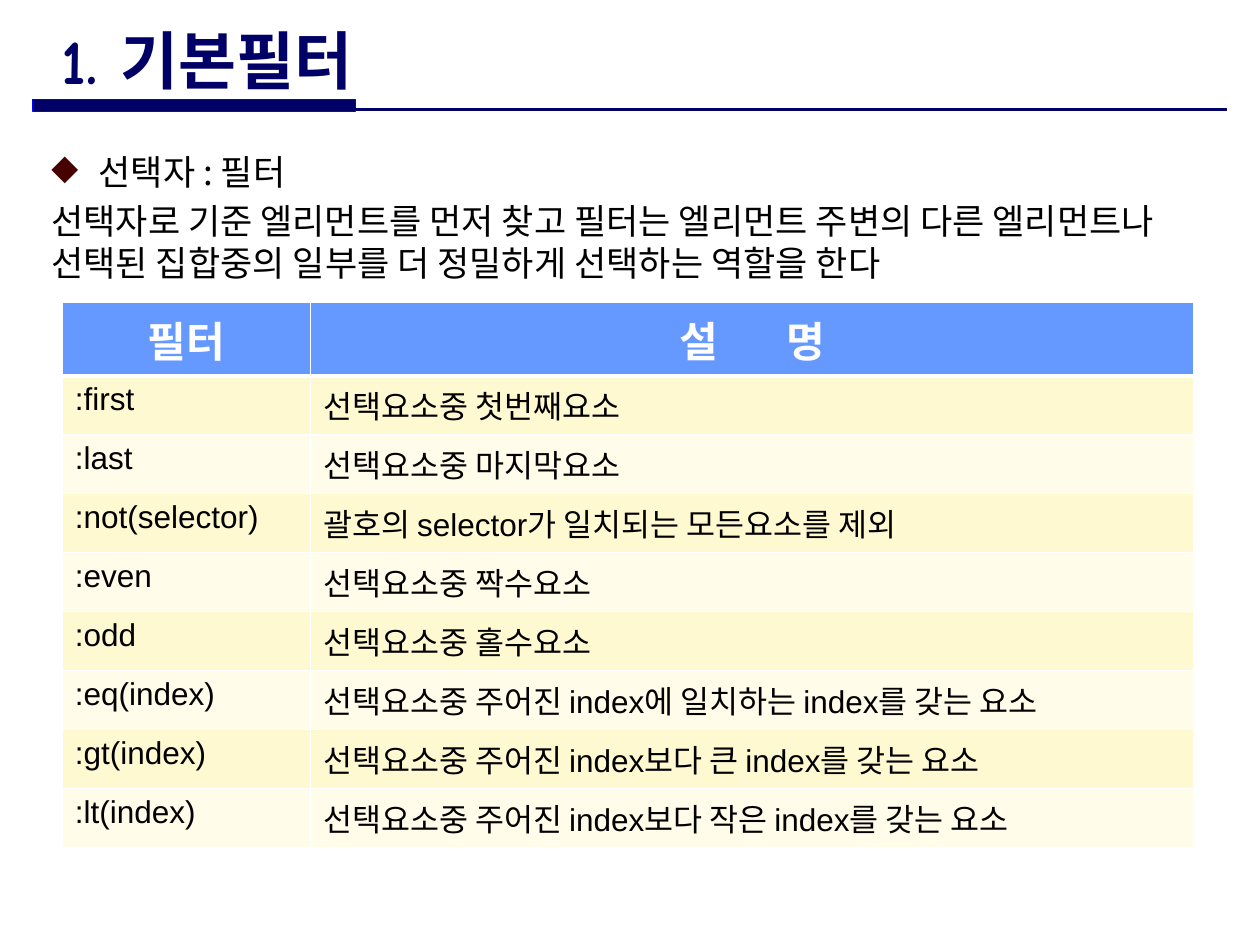
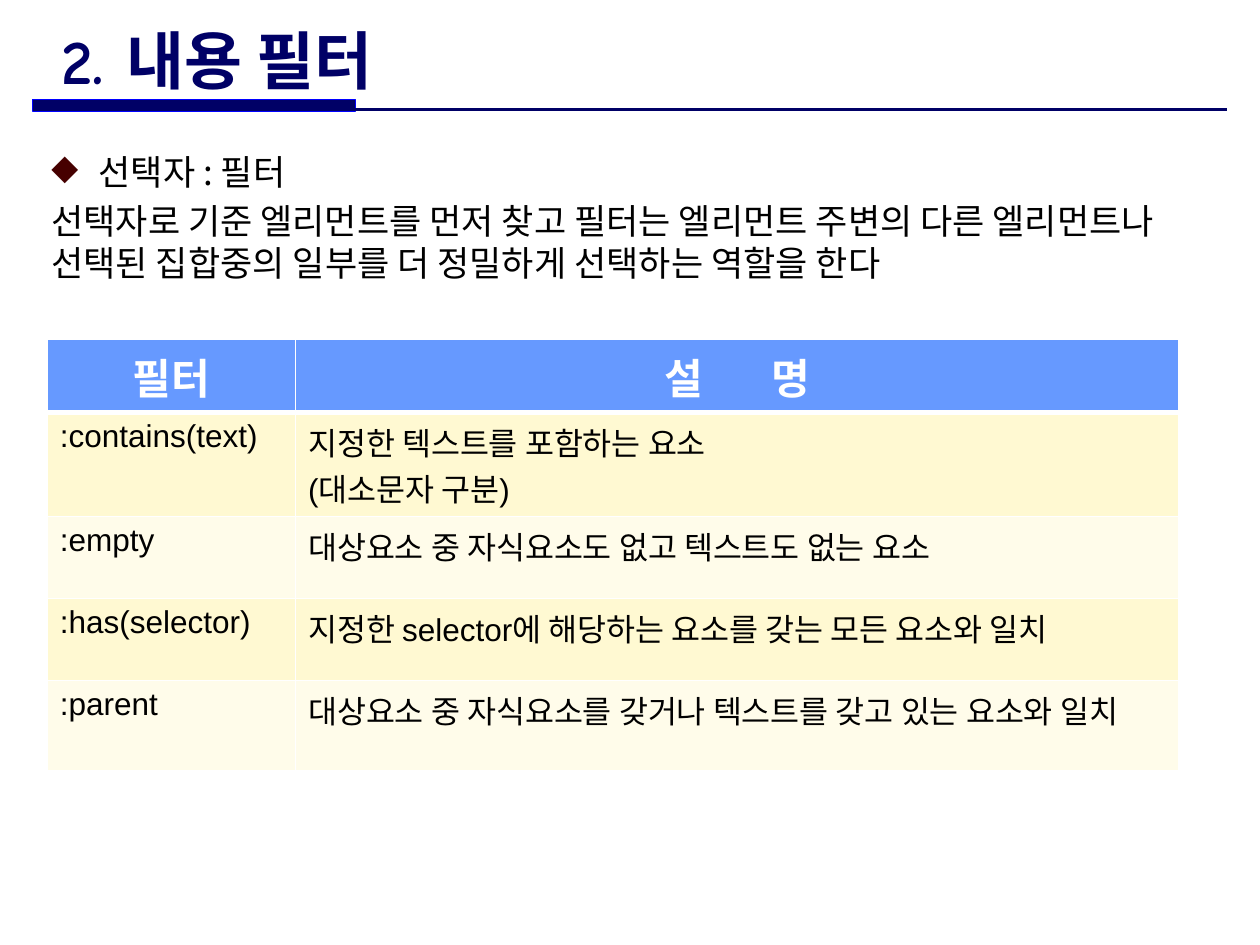
from lxml.etree import SubElement as Sub
from pptx import Presentation as Deck
from pptx.dml.color import RGBColor as RGB
from pptx.enum.shapes import MSO_CONNECTOR as Link, MSO_SHAPE as Form
from pptx.enum.text import MSO_ANCHOR as Anchor, PP_ALIGN as Align
from pptx.oxml.ns import qn
from pptx.util import Pt

NAVY = RGB(0x00, 0x00, 0x66)
BLUE = RGB(0x00, 0x00, 0xFF)
MAROON = RGB(0x46, 0x00, 0x00)
BLACK = RGB(0x00, 0x00, 0x00)
WHITE = RGB(0xFF, 0xFF, 0xFF)
SKY = RGB(0x66, 0x99, 0xFF)
BANDS = RGB(0xFF, 0xF9, 0xD2), RGB(0xFF, 0xFC, 0xEA)

HANGUL = "Noto Sans CJK KR"
TITLE = {"name": "Comic Neue", "size": Pt(36), "bold": True}
BODY = {"name": HANGUL, "size": Pt(20), "bold": False}
HEAD = {"name": "Arial", "size": Pt(24), "bold": True}
CELL = {"name": "Arial", "size": Pt(18), "bold": False}
COLS = 141.84, 504.72

TOPIC = "선택자 : 필터"
INTRO = ("선택자로 기준 엘리먼트를 먼저 찾고 필터는 엘리먼트 주변의 다른 엘리먼트나 "
         "선택된 집합중의 일부를 더 정밀하게 선택하는 역할을 한다")

BASIC = [
    (":first", "선택요소중 첫번째요소"),
    (":last", "선택요소중 마지막요소"),
    (":not(selector)", "괄호의 selector가 일치되는 모든요소를 제외"),
    (":even", "선택요소중 짝수요소"),
    (":odd", "선택요소중 홀수요소"),
    (":eq(index)", "선택요소중 주어진 index에 일치하는 index를 갖는 요소"),
    (":gt(index)", "선택요소중 주어진 index보다 큰 index를 갖는 요소"),
    (":lt(index)", "선택요소중 주어진 index보다 작은 index를 갖는 요소"),
]
CONTENT = [
    (":contains(text)", "지정한 텍스트를 포함하는 요소\n(대소문자 구분)"),
    (":empty", "대상요소 중 자식요소도 없고 텍스트도 없는 요소"),
    (":has(selector)", "지정한 selector에 해당하는 요소를 갖는 모든 요소와 일치"),
    (":parent", "대상요소 중 자식요소를 갖거나 텍스트를 갖고 있는 요소와 일치"),
]


def apply(item, values):
    for name, value in values.items():
        setattr(item, name, value)


def add_run(para, text, look, color, gap=0):
    run = para.add_run()
    run.text = text
    apply(run.font, look)
    run.font.color.rgb = color
    props = run._r.get_or_add_rPr()
    Sub(props, qn("a:ea"), typeface=HANGUL)
    if gap:
        props.set("spc", str(gap))


def add_box(slide, left, top, width, height, anchor):
    box = slide.shapes.add_textbox(Pt(left), Pt(top), Pt(width), Pt(height))
    apply(box.text_frame, {"word_wrap": True, "vertical_anchor": anchor})
    return box.text_frame


def add_rule(slide):
    bar = slide.shapes.add_shape(Form.RECTANGLE, Pt(18.72), Pt(56.88), Pt(184.32), Pt(6.48))
    bar.shadow.inherit = False
    bar.fill.solid()
    bar.fill.fore_color.rgb = NAVY
    bar.line.color.rgb = BLUE
    bar.line.width = Pt(0.75)
    line = slide.shapes.add_connector(Link.STRAIGHT, Pt(18.72), Pt(62.64), Pt(701.28), Pt(62.64))
    line.line.color.rgb = NAVY
    line.line.width = Pt(1.5)
    Sub(line._element.spPr, qn("a:effectLst"))


def add_bullet(para):
    props = para._p.get_or_add_pPr()
    props.set("marL", str(Pt(27)))
    props.set("indent", str(Pt(-27)))
    color = Sub(props, qn("a:buClr"))
    Sub(color, qn("a:srgbClr"), val=str(MAROON))
    Sub(props, qn("a:buChar"), char="◆")


def add_intro(slide):
    frame = add_box(slide, 22.32, 82.4, 678.96, 432, Anchor.TOP)
    topic, intro = frame.paragraphs[0], frame.add_paragraph()
    for para, text, space in (topic, TOPIC, 0), (intro, INTRO, 4):
        apply(para, {"line_spacing": Pt(24), "space_before": Pt(space)})
        add_run(para, text, BODY, BLACK)
    add_bullet(topic)


def set_edges(cell, top, bottom):
    props = cell._tc.get_or_add_tcPr()
    for side, width in {"L": 1, "R": 1, "T": top, "B": bottom}.items():
        edge = Sub(props, qn(f"a:ln{side}"), w=str(Pt(width)))
        fill = Sub(edge, qn("a:solidFill"))
        Sub(fill, qn("a:srgbClr"), val=str(WHITE))


def set_fill(cell, color):
    cell.fill.solid()
    cell.fill.fore_color.rgb = color


def fill_head(cells):
    for cell in cells:
        set_edges(cell, 1, 3)
        set_fill(cell, SKY)
    name, note = (cell.text_frame.paragraphs[0] for cell in cells)
    name.alignment = note.alignment = Align.CENTER
    add_run(name, "필터", HEAD, WHITE)
    add_run(note, "설 ", HEAD, WHITE, 1667)
    add_run(note, "명", HEAD, WHITE)


def fill_cell(cell, text, row):
    set_edges(cell, 3 if row == 0 else 1, 1)
    set_fill(cell, BANDS[row % 2])
    frame = cell.text_frame
    for index, line in enumerate(text.split("\n")):
        para = frame.add_paragraph() if index else frame.paragraphs[0]
        add_run(para, line, CELL, BLACK)


def add_grid(slide, left, top, rows, tall):
    frame = slide.shapes.add_table(len(rows) + 1, 2, Pt(left), Pt(top),
                                   Pt(sum(COLS)), Pt(sum(tall)))
    grid = frame.table
    for col, width in zip(grid.columns, COLS):
        col.width = Pt(width)
    for row, height in zip(grid.rows, tall):
        row.height = Pt(height)
    fill_head([grid.cell(0, col) for col in range(2)])
    for row, texts in enumerate(rows):
        for col, text in enumerate(texts):
            fill_cell(grid.cell(row + 1, col), text, row)


def add_page(deck, title):
    slide = deck.slides.add_slide(deck.slide_layouts[6])
    add_rule(slide)
    add_intro(slide)
    frame = add_box(slide, 28.08, 15.12, 488.88, 37.44, Anchor.MIDDLE)
    add_run(frame.paragraphs[0], title, TITLE, NAVY)
    return slide


def main():
    deck = Deck()
    apply(deck, {"slide_width": Pt(720), "slide_height": Pt(540)})
    basic = add_page(deck, "1. 기본필터")
    add_grid(basic, 35.64, 172.8, BASIC, [42] + [33.7] * len(BASIC))
    content = add_page(deck, "2. 내용 필터")
    add_grid(content, 27, 193.9, CONTENT, [42, 59.4, 46.8, 46.8, 51.5])
    deck.save("out.pptx")


if __name__ == "__main__":
    main()
